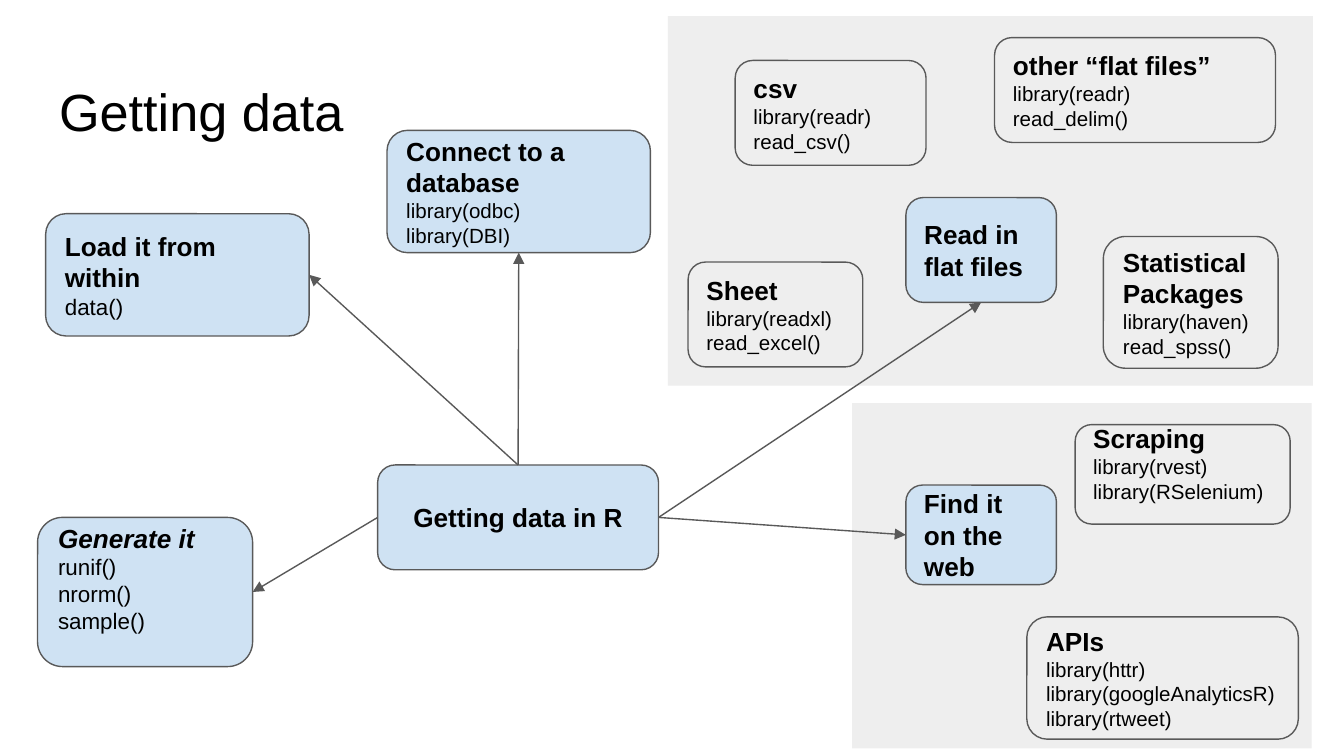
from pptx import Presentation, util as u
from pptx.dml.color import RGBColor
from pptx.enum import shapes as sh, text as tx
from pptx.oxml.ns import qn
from lxml import etree

COLS = 100  # grid columns across the slide; rows have the same size
WIDE, HIGH = u.Inches(10), u.Inches(5.625)
UNIT = WIDE / COLS
BLUE, GREY, EDGE, INK = "CFE2F3", "EEEEEE", "595959", "000000"
TOP, LEFT, BOTTOM, RIGHT = range(4)


def color(part, code):
    part.rgb = RGBColor.from_string(code)


def fill(shape, code):
    shape.fill.solid()
    color(shape.fill.fore_color, code)
    shape.shadow.inherit = False


def size(*cells):
    return [round(c * UNIT) for c in cells]


def write(para, words, pt=11, bold=False, italic=False, align=tx.PP_ALIGN.LEFT):
    para.alignment = align
    run = para.add_run()
    run.text = words
    font = run.font
    font.name, font.size = "Arial", u.Pt(pt)
    font.bold, font.italic = bold, italic
    color(font.color, INK)


def inset(frame, top=1, bottom=1):
    frame.margin_left = frame.margin_right = size(1)[0]
    frame.margin_top, frame.margin_bottom = size(top, bottom)
    frame.word_wrap = True


def panel(slide, box):
    shape = slide.shapes.add_shape(sh.MSO_SHAPE.RECTANGLE, *size(*box))
    fill(shape, GREY)
    shape.line.fill.background()


def card(slide, area, spot, head, code=(), tint=GREY, pt=11, lift=0, **look):
    """Rounded box placed from the corner of its area; lift raises its text."""
    x, y, w, h = spot
    shape = slide.shapes.add_shape(
        sh.MSO_SHAPE.ROUNDED_RECTANGLE, *size(area[0] + x, area[1] + y, w, h))
    shape.adjustments[0] = 0.167
    fill(shape, tint)
    color(shape.line.color, EDGE)
    shape.line.width = u.Pt(0.75)
    frame = shape.text_frame
    frame.vertical_anchor = tx.MSO_ANCHOR.MIDDLE
    inset(frame, *((0, lift) if lift else (1, 1)))
    write(frame.paragraphs[0], head, pt=14, bold=True, **look)
    for line in code:
        write(frame.add_paragraph(), line, pt=pt)
    return shape


def arrow(slide, start, out, end, into):
    line = slide.shapes.add_connector(sh.MSO_CONNECTOR.STRAIGHT, 0, 0, 0, 0)
    line.begin_connect(start, out)
    line.end_connect(end, into)
    color(line.line.color, EDGE)
    line.line.width = u.Pt(0.75)
    props = line._element.spPr
    etree.SubElement(props.find(qn("a:ln")), qn("a:tailEnd"), type="triangle")
    etree.SubElement(props, qn("a:effectLst"))


def title(slide, box):
    head = slide.shapes.title
    head.left, head.top, head.width, head.height = size(*box)
    frame = head.text_frame
    frame.vertical_anchor = tx.MSO_ANCHOR.TOP
    inset(frame)
    write(frame.paragraphs[0], "Getting data", pt=28)


def flat(slide, box):
    """Flat files: the method and its four formats."""
    panel(slide, box)
    card(slide, box, (5, 3.3, 14.2, 7.8), "csv", ["library(readr)", "read_csv()"])
    card(slide, box, (24.3, 1.6, 20.9, 7.8), "other “flat files”",
         ["library(readr)", "read_delim()"])
    card(slide, box, (1.5, 18.3, 13, 7.8), "Sheet",
         ["library(readxl)", "read_excel()"])
    card(slide, box, (32.4, 16.4, 13, 9.8), "Statistical Packages",
         ["library(haven)", "read_spss()"])
    return card(slide, box, (17.7, 13.5, 11.2, 7.8), "Read in flat files", tint=BLUE)


def web(slide, box):
    """Web sources: the method and its two routes."""
    panel(slide, box)
    card(slide, box, (16.6, 1.6, 16, 7.4), "Scraping",
         ["library(rvest)", "library(RSelenium)"], lift=1.7)
    card(slide, box, (13, 15.9, 20.2, 9.1), "APIs",
         ["library(httr)", "library(googleAnalyticsR)", "library(rtweet)"])
    return card(slide, box, (4, 6.1, 11.2, 7.4), "Find it on the web", tint=BLUE)


def core(slide, box, files, site):
    """Central topic, the three methods on the left and all arrows."""
    load = card(slide, box, (3.4, 15.9, 19.6, 9.1), "Load it from within",
                ["data()"], BLUE, pt=12)
    base = card(slide, box, (28.8, 9.7, 19.6, 9.1), "Connect to a database",
                ["library(odbc)", "library(DBI)"], BLUE)
    make = card(slide, box, (2.8, 38.5, 16, 11.1), "Generate it",
                ["runif()", "nrorm()", "sample()"], BLUE, pt=12, lift=2.1, italic=True)
    hub = card(slide, box, (28.1, 34.6, 20.9, 7.8), "Getting data in R", tint=BLUE,
               align=tx.PP_ALIGN.CENTER)
    for out, end, into in ((LEFT, make, RIGHT), (TOP, load, RIGHT), (TOP, base, BOTTOM),
                           (RIGHT, files, BOTTOM), (RIGHT, site, LEFT)):
        arrow(slide, hub, out, end, into)


def main():
    deck = Presentation()
    deck.slide_width, deck.slide_height = WIDE, HIGH
    slide = deck.slides.add_slide(deck.slide_layouts[5])
    title(slide, (3.4, 4.9, 93.2, 6.3))
    site = web(slide, (63.4, 30, 34.2, 25.7))
    files = flat(slide, (49.7, 1.2, 48, 27.5))
    core(slide, (0, 0), files, site)
    deck.save("out.pptx")


if __name__ == "__main__":
    main()
